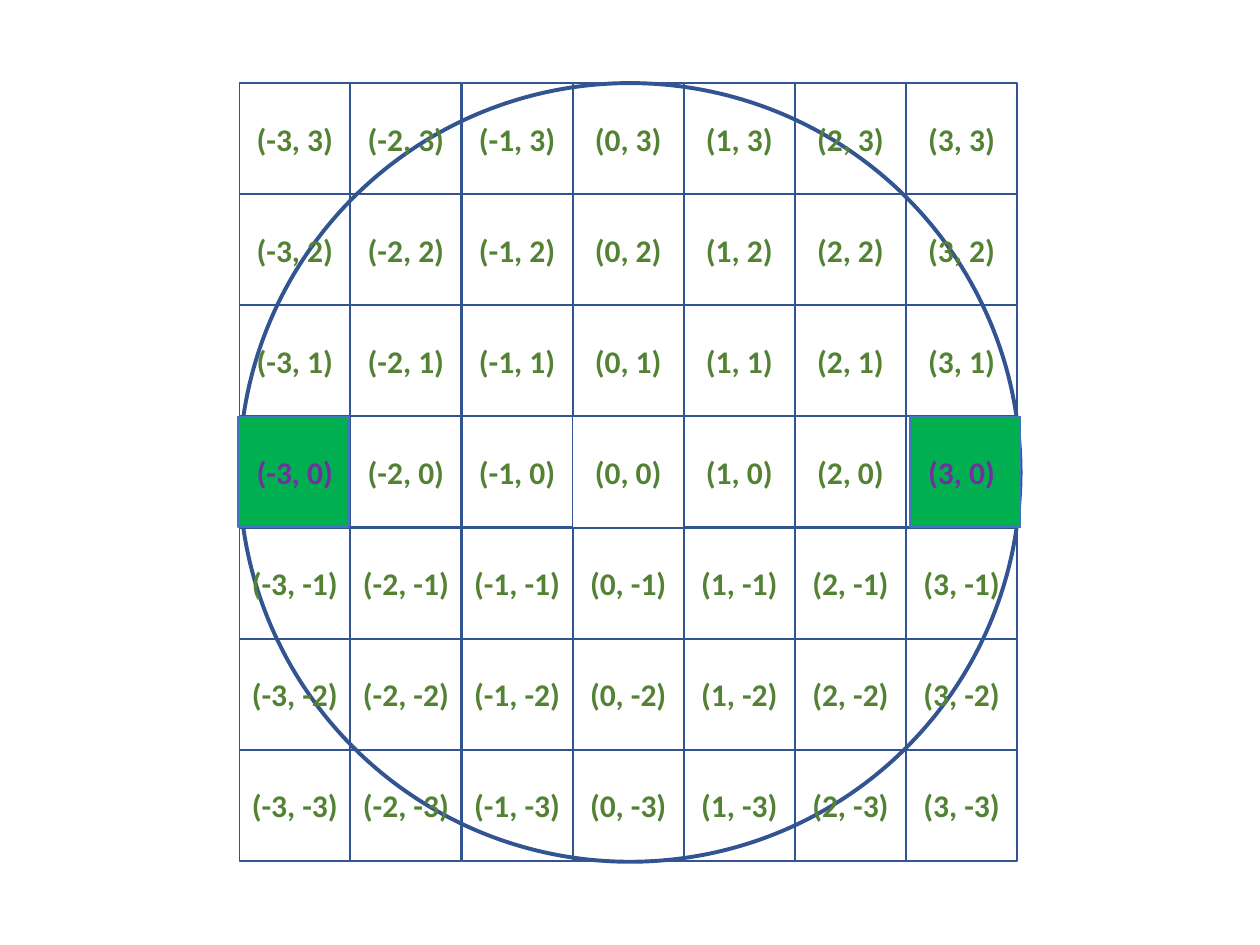
from pptx import Presentation
from pptx.dml.color import RGBColor
from pptx.enum.shapes import MSO_SHAPE as SHAPE
from pptx.enum.text import MSO_AUTO_SIZE as AUTO, PP_ALIGN as ALIGN
from pptx.util import Inches, Pt

NAVY = RGBColor(0x32, 0x54, 0x91)
BLUE = RGBColor(0x44, 0x72, 0xC4)
FILL_GREEN = RGBColor(0x00, 0xB0, 0x50)
TEXT_GREEN = RGBColor(0x54, 0x82, 0x35)
PURPLE = RGBColor(0x70, 0x30, 0xA0)

# Content: grid coordinates, top row first
RADIUS = 3
XS = range(-RADIUS, RADIUS + 1)
YS = range(RADIUS, -RADIUS - 1, -1)
POINTS = [(x, y) for y in YS for x in XS]
ORIGIN = (0, 0)
HIGHLIGHTS = {(-3, 0): 1.89, (3, 0): 7.22}  # point: left edge

# Grid geometry in inches
LEFT, TOP, CELL, PITCH = 1.9, 0.66, 0.88, 0.882
CIRCLE = (LEFT, TOP, 6.2, 6.18)
LABEL_H = 0.4

prs = Presentation()
prs.slide_width, prs.slide_height = Inches(10), Inches(7.5)
s = prs.slides.add_slide(prs.slide_layouts[6])
group = s.shapes.add_group_shape()


def cell_corner(x, y):
    return LEFT + (x + RADIUS) * PITCH, TOP + (RADIUS - y) * PITCH


def add_outline(kind, box, line=NAVY, width=1, fill=None):
    sp = group.shapes.add_shape(kind, *map(Inches, box))
    sp.shadow.inherit = False
    if fill is None:
        sp.fill.background()
    else:
        sp.fill.solid()
        sp.fill.fore_color.rgb = fill
    sp.line.color.rgb = line
    sp.line.width = Pt(width)


def add_label(text, box, color=TEXT_GREEN, size=18, bold=True):
    tf = group.shapes.add_textbox(*map(Inches, box)).text_frame
    tf.word_wrap = True
    tf.auto_size = AUTO.SHAPE_TO_FIT_TEXT
    p = tf.paragraphs[0]
    p.alignment = ALIGN.CENTER
    r = p.add_run()
    r.text = text
    r.font.name = "Calibri"
    r.font.size = Pt(size)
    r.font.bold = bold
    r.font.color.rgb = color


# Grid cells; the origin is framed by its neighbours
for point in POINTS:
    if point != ORIGIN:
        add_outline(SHAPE.RECTANGLE, (*cell_corner(*point), CELL, CELL))

# Circle and the highlighted cells on it
add_outline(SHAPE.OVAL, CIRCLE, width=2.25)
for point, left in HIGHLIGHTS.items():
    add_outline(SHAPE.RECTANGLE, (left, cell_corner(*point)[1], CELL, CELL),
                line=BLUE, fill=FILL_GREEN)

# Coordinate labels, centred on their cells
for x, y in POINTS:
    left, top = cell_corner(x, y)
    width = 1.14 if x < 0 and y < 0 else 1.01
    box = (left + (CELL - width) / 2, top + (CELL - LABEL_H) / 2, width, LABEL_H)
    add_label(f"({x}, {y})", box,
              color=PURPLE if (x, y) in HIGHLIGHTS else TEXT_GREEN)

prs.save("out.pptx")
